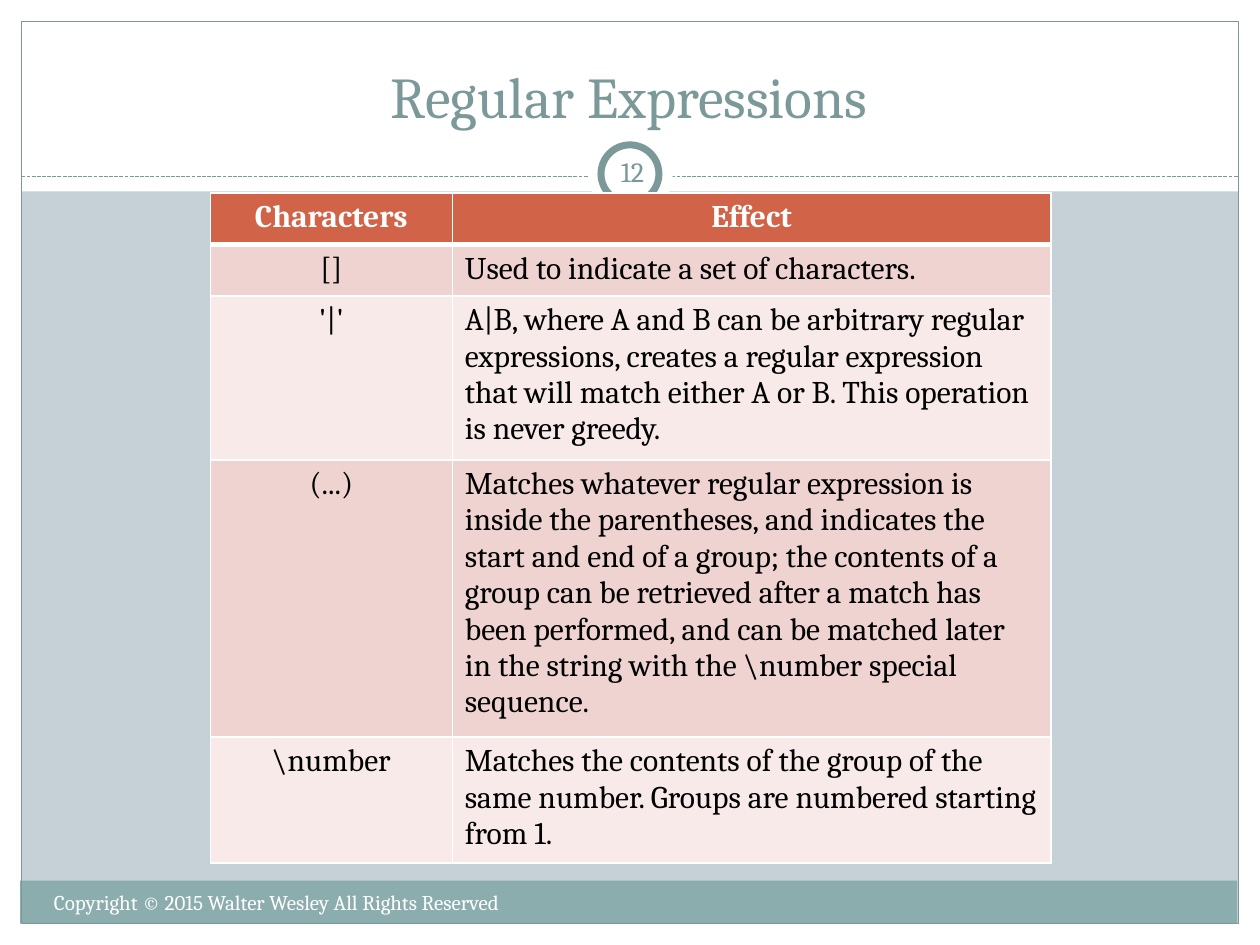
"""Build the Regular Expressions reference slide."""
from lxml.etree import SubElement
from pptx import Presentation
from pptx.dml.color import RGBColor
from pptx.enum.dml import MSO_LINE
from pptx.enum.shapes import MSO_CONNECTOR, MSO_SHAPE as Preset
from pptx.enum.text import MSO_ANCHOR as Anchor, MSO_AUTO_SIZE, PP_ALIGN as Align
from pptx.oxml import parse_xml
from pptx.oxml.ns import nsdecls, qn
from pptx.util import Inches, Pt

WHITE = RGBColor(0xFF, 0xFF, 0xFF)
BLACK = RGBColor(0, 0, 0)
BACKGROUND = RGBColor(0xC5, 0xD1, 0xD7)
TEAL = RGBColor(0x7C, 0x99, 0x9A)
FOOTER_TEAL = RGBColor(0x8C, 0xAD, 0xAE)
RUST = RGBColor(0xD1, 0x63, 0x49)
PINK = RGBColor(0xEE, 0xD3, 0xD0)
PALE_PINK = RGBColor(0xF7, 0xEA, 0xE9)


def write(frame, text, size=18, color=BLACK, bold=False, align=Align.LEFT):
    frame.word_wrap = True
    para = frame.paragraphs[0]
    para.alignment = align
    span = para.add_run()
    span.text = text
    span.font.name = "Cambria"
    span.font.size = Pt(size)
    span.font.bold = bold
    span.font.color.rgb = color


def add_panel(preset, bounds, fill=None, line=None, width=0.75):
    panel = page.shapes.add_shape(preset, *map(Inches, bounds))
    panel.shadow.inherit = False
    if fill is None:
        panel.fill.background()
    else:
        panel.fill.solid()
        panel.fill.fore_color.rgb = fill
    if line is None:
        panel.line.fill.background()
    else:
        panel.line.color.rgb = line
        panel.line.width = Pt(width)
    return panel


deck = Presentation()
deck.slide_width, deck.slide_height = Inches(10), Inches(7.5)
page = deck.slides.add_slide(deck.slide_layouts[5])
page.background.fill.solid()
page.background.fill.fore_color.rgb = BACKGROUND

margins = [(0, 7.33, 10, 0.17), (0, 0, 10, 1.52), (0, 0, 0.17, 7.5), (9.83, 0, 0.17, 7.5)]
for bounds in margins:
    add_panel(Preset.RECTANGLE, bounds, WHITE)
add_panel(Preset.RECTANGLE, (0.16, 6.99, 9.66, 0.34), FOOTER_TEAL)
add_panel(Preset.RECTANGLE, (0.17, 0.17, 9.66, 7.16), line=TEAL)

divider = page.shapes.add_connector(
    MSO_CONNECTOR.STRAIGHT, Inches(0.17), Inches(1.4), Inches(9.83), Inches(1.4))
divider.line.color.rgb = TEAL
divider.line.width = Pt(0.75)
divider.line.dash_style = MSO_LINE.SQUARE_DOT
SubElement(divider.element.spPr, qn("a:effectLst"))

add_panel(Preset.OVAL, (4.67, 1.05, 0.67, 0.67), WHITE)
ring = add_panel(Preset.OVAL, (4.77, 1.15, 0.46, 0.46), WHITE, TEAL, 4)

title = page.shapes.title
title.left, title.top = Inches(0.33), Inches(0.25)
title.width, title.height = Inches(9.33), Inches(0.83)
title.text_frame.auto_size = MSO_AUTO_SIZE.NONE
title.text_frame.vertical_anchor = Anchor.BOTTOM
write(title.text_frame, "Regular Expressions", size=33, color=TEAL, align=Align.CENTER)
ring.element.addnext(title.element)

footer = page.shapes.add_textbox(Inches(0.33), Inches(7.01), Inches(4.75), Inches(0.4))
write(footer.text_frame, "Copyright © 2015 Walter Wesley All Rights Reserved", size=12, color=WHITE)

number = page.shapes.add_textbox(Inches(4.77), Inches(1.12), Inches(0.5), Inches(0.48))
frame = number.text_frame
frame.margin_left = frame.margin_right = frame.margin_top = frame.margin_bottom = Inches(0.05)
frame.vertical_anchor = Anchor.MIDDLE
write(frame, "12", size=16, color=TEAL, align=Align.CENTER)

rows = [
    ("Characters", "Effect", 0.41),
    ("[]", "Used to indicate a set of characters.", 0.41),
    ("'|'", "A|B, where A and B can be arbitrary regular expressions, creates a regular "
     "expression that will match either A or B. This operation is never greedy.", 1.26),
    ("(...)", "Matches whatever regular expression is inside the parentheses, and indicates "
     "the start and end of a group; the contents of a group can be retrieved after a match "
     "has been performed, and can be matched later in the string with the \\number special "
     "sequence.", 2.11),
    ("\\number", "Matches the contents of the group of the same number. Groups are numbered "
     "starting from 1.", 0.96),
]
table = page.shapes.add_table(
    len(rows), 2, Inches(1.67), Inches(1.53), Inches(6.67), Inches(5.15)).table
for column, width in zip(table.columns, (1.92, 4.75)):
    column.width = Inches(width)

for r, (characters, effect, height) in enumerate(rows):
    table.rows[r].height = Inches(height)
    header = r == 0
    for c, text in enumerate((characters, effect)):
        cell = table.cell(r, c)
        cell.fill.solid()
        cell.fill.fore_color.rgb = RUST if header else PINK if r % 2 else PALE_PINK
        write(cell.text_frame, text, color=WHITE if header else BLACK, bold=header,
              align=Align.CENTER if header or c == 0 else Align.LEFT)
        properties = cell.fill._xPr
        for i, side in enumerate("LRTB"):
            thick = (side == "B" and r == 0) or (side == "T" and r == 1)
            properties.insert(i, parse_xml(
                f'<a:ln{side} {nsdecls("a")} w="{Pt(3 if thick else 1)}">'
                f'<a:solidFill><a:srgbClr val="{WHITE}"/></a:solidFill></a:ln{side}>'))

deck.save("out.pptx")
